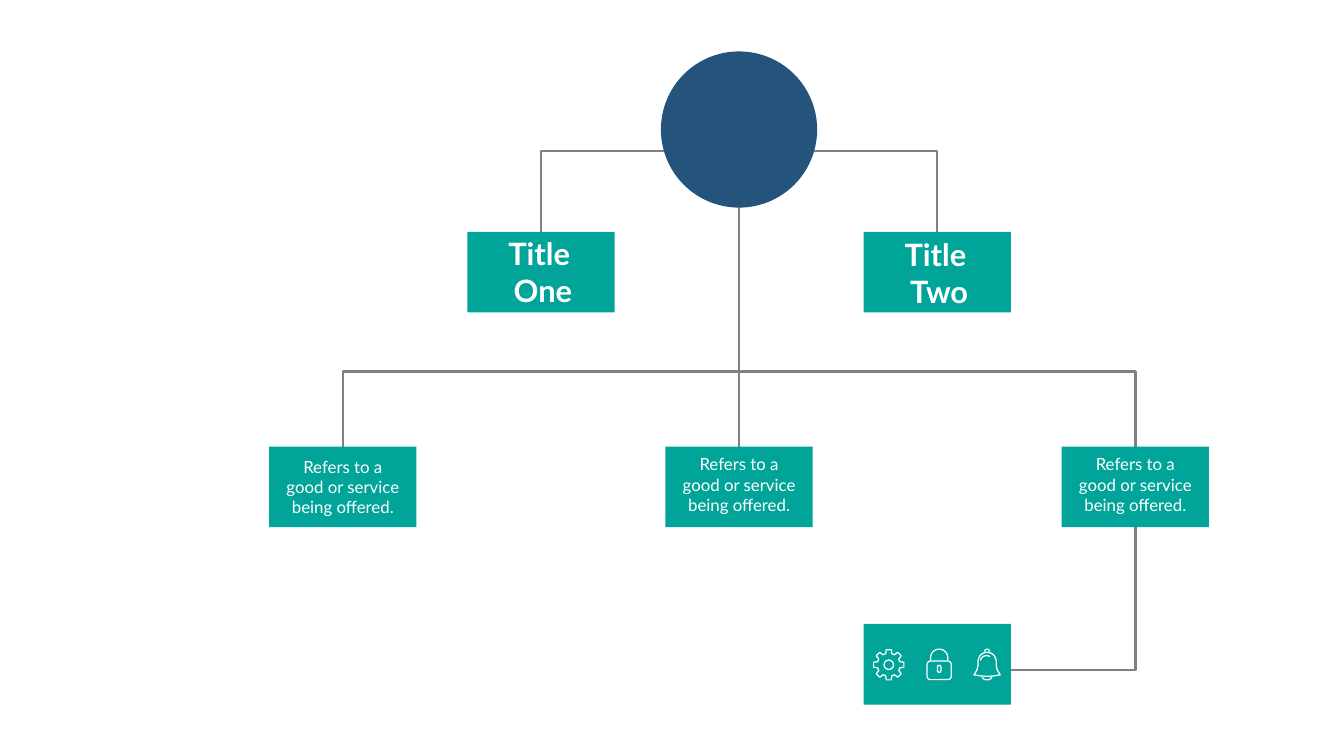
from dataclasses import dataclass
from math import cos, pi, sin

from lxml.etree import SubElement
from pptx import Presentation
from pptx.dml.color import RGBColor as RGB
from pptx.enum.shapes import MSO_CONNECTOR as LINK, MSO_SHAPE as SHAPE
from pptx.enum.text import PP_ALIGN as ALIGN
from pptx.oxml.ns import qn
from pptx.util import Inches, Pt


@dataclass(frozen=True)
class Theme:
    """Colours, font, type sizes and line widths of the chart."""
    navy: RGB = RGB(0x24, 0x54, 0x7C)
    teal: RGB = RGB(0x00, 0xA4, 0x99)
    gray: RGB = RGB(0x80, 0x80, 0x80)
    white: RGB = RGB(0xFF, 0xFF, 0xFF)
    font: str = "Lato"
    title: int = 44
    body: int = 24
    link: float = 3.46
    icon: float = 1.75


THEME = Theme()
MID, PITCH = 14.66, 3.93
COLS = [MID + PITCH * step for step in range(-2, 3)]
ROWS = [4.6, 8.86, 12.38]
WIDE, HIGH = 2.92, 1.6
FORK, BRANCH = 3, 7.37
ICON = 13.19


def solid(shapes, kind, x, y, w, h, color):
    """Add a filled preset shape without outline."""
    item = shapes.add_shape(kind, Inches(x), Inches(y), Inches(w), Inches(h))
    item.shadow.inherit = False
    item.fill.solid()
    item.fill.fore_color.rgb = color
    item.line.fill.background()
    return item


def hollow(item, color, width):
    """Leave a shape with its outline only."""
    item.shadow.inherit = False
    item.fill.background()
    item.line.color.rgb = color
    item.line.width = Pt(width)


def trace(shapes, points, color, width, close=False):
    """Draw an outline through points given in inches."""
    spots = [(Inches(x), Inches(y)) for x, y in points]
    pen = shapes.build_freeform(*spots[0])
    pen.add_line_segments(spots[1:], close=close)
    hollow(pen.convert_to_shape(), color, width)


def stem(shapes, x, top, end):
    """Draw a vertical connector."""
    line = shapes.add_connector(LINK.STRAIGHT, Inches(x), Inches(top), Inches(x), Inches(end))
    line.line.color.rgb = THEME.gray
    line.line.width = Pt(THEME.link)
    SubElement(line._element.spPr, qn("a:effectLst"))


def label(shapes, x, y, w, h, lines, size, bold=False, wrap=True):
    """Add centred white text around the middle x."""
    box = shapes.add_textbox(Inches(x - w / 2), Inches(y), Inches(w), Inches(h))
    frame = box.text_frame
    frame.word_wrap = wrap
    frame.text = "\n".join(lines)
    for para in frame.paragraphs:
        para.alignment = ALIGN.CENTER
        font = para.font
        font.name, font.size, font.bold = THEME.font, Pt(size), bold
        font.color.rgb = THEME.white


def arc(x, y, wide, high, start, end, steps=24):
    """List points on an ellipse between two angles in degrees."""
    turns = [(start + (end - start) * i / steps) * pi / 180 for i in range(steps + 1)]
    return [(x + wide * cos(t), y + high * sin(t)) for t in turns]


def ring(shapes, kind, x, y, w, h, curve=None):
    """Add a white outlined preset shape around a centre."""
    item = shapes.add_shape(kind, Inches(x - w / 2), Inches(y - h / 2), Inches(w), Inches(h))
    if curve is not None:
        item.adjustments[0] = curve
    hollow(item, THEME.white, THEME.icon)


def gear(shapes, x, y):
    """Draw a gear with eight teeth."""
    tooth = [(-0.06, -0.22), (-0.05, -0.3), (0.05, -0.3), (0.06, -0.22)]
    rim = []
    for step in range(8):
        c, s = cos(step * pi / 4), sin(step * pi / 4)
        rim += [(x + a * c - b * s, y + a * s + b * c) for a, b in tooth]
    trace(shapes, rim, THEME.white, THEME.icon, True)
    ring(shapes, SHAPE.OVAL, x, y, 0.19, 0.19)


def lock(shapes, x, y):
    """Draw a padlock."""
    ring(shapes, SHAPE.ROUNDED_RECTANGLE, x, y + 0.11, 0.48, 0.37, 0.18)
    bow = [(x - 0.17, y - 0.08), *arc(x, y - 0.14, 0.17, 0.17, 180, 360), (x + 0.17, y - 0.08)]
    trace(shapes, bow, THEME.white, THEME.icon)
    ring(shapes, SHAPE.ROUNDED_RECTANGLE, x, y + 0.08, 0.07, 0.14, 0.5)


def bell(shapes, x, y):
    """Draw a bell with its knob, clapper and highlight."""
    half = [(0, -0.25), (0.05, -0.24), (0.1, -0.22), (0.15, -0.17), (0.18, -0.09), (0.18, 0.01),
            (0.2, 0.1), (0.26, 0.2), (0.14, 0.22), (0, 0.23)]
    side = [(x + a, y + b) for a, b in half]
    back = [(x - a, y + b) for a, b in half[-2:0:-1]]
    trace(shapes, side + back, THEME.white, THEME.icon, True)
    for part in (arc(x, y - 0.26, 0.05, 0.05, 180, 360),
                 arc(x, y + 0.24, 0.09, 0.06, 180, 0),
                 arc(x - 0.01, y - 0.08, 0.12, 0.1, 180, 305)):
        trace(shapes, part, THEME.white, THEME.icon)


def main():
    """Build the organisation chart."""
    deck = Presentation()
    deck.slide_width, deck.slide_height = Inches(26.66), Inches(15)
    shapes = deck.slides.add_slide(deck.slide_layouts[6]).shapes
    far, left, mid, right, last = COLS
    top, row, base = ROWS

    foot = base + 0.91
    trace(shapes, [(far, row), (far, BRANCH), (last, BRANCH), (last, foot), (right, foot)],
          THEME.gray, THEME.link)
    stem(shapes, mid, 2.77, row)
    trace(shapes, [(left, top), (left, FORK), (right, FORK), (right, top)],
          THEME.gray, THEME.link)
    solid(shapes, SHAPE.OVAL, mid - 1.55, 1.02, 3.1, 3.1, THEME.navy)
    for x, y in [(left, top), (right, top), (far, row), (mid, row), (last, row), (right, base)]:
        solid(shapes, SHAPE.RECTANGLE, x - WIDE / 2, y, WIDE, HIGH, THEME.teal)

    for draw, x in [(gear, 17.63), (lock, 18.63), (bell, 19.58)]:
        draw(shapes, x, ICON)
    for x, y, word in [(left, 4.61, "One"), (right, 4.62, "Two")]:
        label(shapes, x + 0.04, y, 1.59, 1.58, ["Title ", word], THEME.title, True, False)
    for x, y in [(far, 9.01), (mid, 8.96), (last, 8.96)]:
        label(shapes, x, y, 2.47, 1.31, ["Refers to a good or service being offered."], THEME.body)
    deck.save("out.pptx")


if __name__ == "__main__":
    main()
